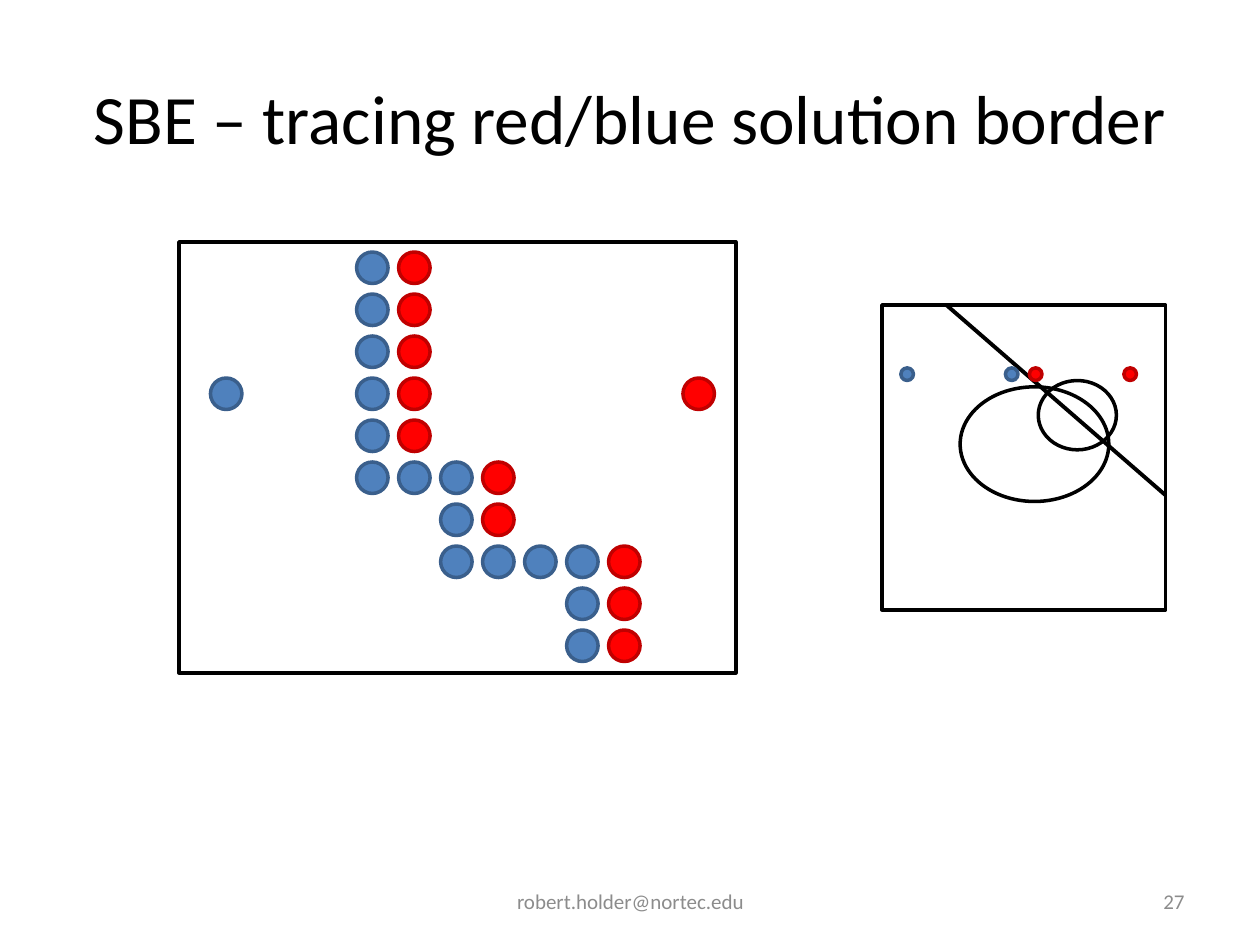
from lxml import etree
from pptx import Presentation
from pptx.dml.color import RGBColor
from pptx.enum.shapes import MSO_CONNECTOR, MSO_SHAPE
from pptx.enum.text import MSO_ANCHOR, PP_ALIGN
from pptx.oxml.ns import qn
from pptx.util import Inches, Pt

OVAL, RECT = MSO_SHAPE.OVAL, MSO_SHAPE.RECTANGLE
STRAIGHT = MSO_CONNECTOR.STRAIGHT
MIDDLE = MSO_ANCHOR.MIDDLE
CENTER, RIGHT = PP_ALIGN.CENTER, PP_ALIGN.RIGHT

rgb = RGBColor.from_string
INKS = {"B": ("4F81BD", "3A5F8C"), "R": ("FF0000", "C00000")}

prs = Presentation()
prs.slide_width, prs.slide_height = Inches(10), Inches(7.5)
slide = prs.slides.add_slide(prs.slide_layouts[6])
shapes = slide.shapes


def draw(kind, box, fill=None, line="000000"):
    """Add an outlined shape; box is left, top, width, height in inches."""
    shape = shapes.add_shape(kind, *map(Inches, box))
    shape.shadow.inherit = False
    if fill:
        shape.fill.solid()
        shape.fill.fore_color.rgb = rgb(fill)
    else:
        shape.fill.background()
    shape.line.color.rgb = rgb(line)
    shape.line.width = Pt(2)


def write(text, box, size, color, align):
    frame = shapes.add_textbox(*map(Inches, box)).text_frame
    frame.word_wrap = True
    frame.vertical_anchor = MIDDLE
    para = frame.paragraphs[0]
    para.text = text
    para.alignment = align
    para.font.name = "Calibri"
    para.font.size = Pt(size)
    para.font.color.rgb = rgb(color)


write("SBE – tracing red/blue solution border", (0.5, 0.3, 9, 1.25),
      39.6, "000000", CENTER)

# Large panel: both start points, then the border traced on a grid
STEP, DOT = 1 / 3, 0.25
for left, ink in ((1.67, "B"), (5.42, "R")):
    draw(OVAL, (left, 3, DOT, DOT), *INKS[ink])

border = ["BR"] * 5 + ["BBBR", "..BR", "..BBBBR"] + [".....BR"] * 2
for row, marks in enumerate(border):
    for col, ink in enumerate(marks):
        if ink in INKS:
            box = (2.83 + col * STEP, 2 + row * STEP, DOT, DOT)
            draw(OVAL, box, *INKS[ink])
draw(RECT, (1.42, 1.92, 4.42, 3.42))

# Small panel: obstacles, dividing line and sample points
draw(RECT, (7, 2.42, 2.25, 2.42))
ends = map(Inches, (9.25, 3.93, 7.51, 2.42))
divide = shapes.add_connector(STRAIGHT, *ends)
divide.line.color.rgb = rgb("000000")
divide.line.width = Pt(2.25)
etree.SubElement(divide._element.spPr, qn("a:effectLst"))
draw(OVAL, (8.24, 3.02, 0.62, 0.55))
draw(OVAL, (7.62, 3.07, 1.18, 0.91))
for left, ink in ((7.15, "B"), (8.92, "R"), (7.98, "B"), (8.17, "R")):
    draw(OVAL, (left, 2.92, 0.1, 0.1), *INKS[ink])

# Footer
write("27", (7.17, 6.95, 2.33, 0.4), 12, "8C8C8C", RIGHT)
write("robert.holder@nortec.edu", (3.42, 6.95, 3.17, 0.4),
      12, "8C8C8C", CENTER)

prs.save("out.pptx")
